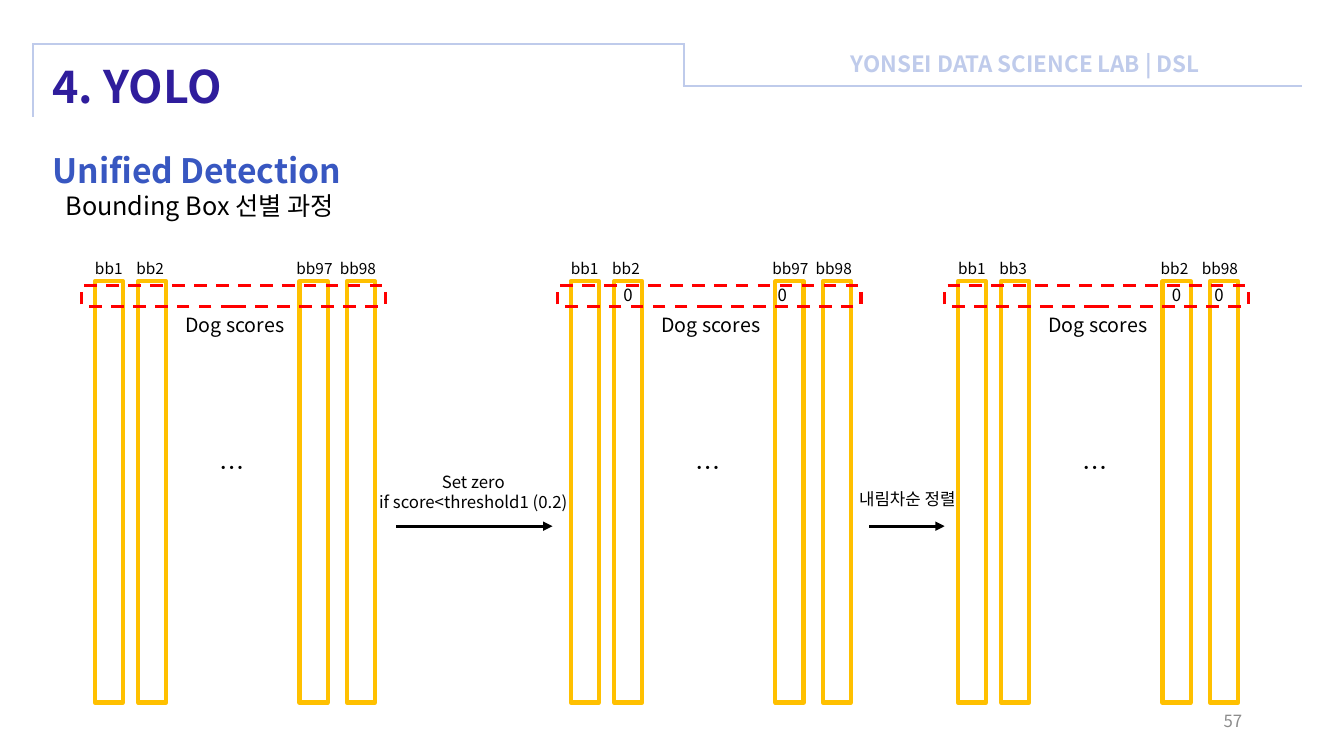
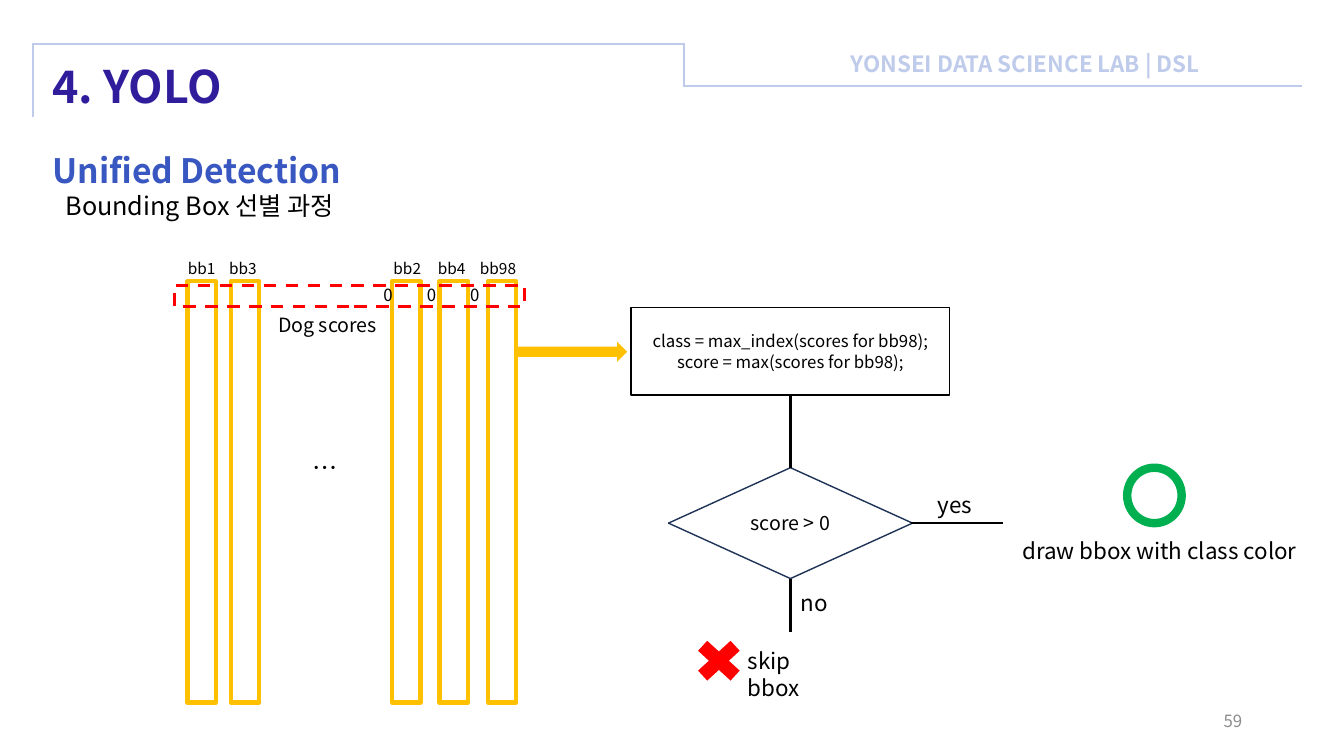
"""Build two slides on how bounding boxes are selected in unified detection."""
import pptx
import pptx.dml.color
import pptx.enum.dml
import pptx.enum.shapes
import pptx.enum.text
import pptx.oxml.ns
import pptx.util
from lxml import etree

PX = 9144
FONT = "Noto Sans CJK KR"
BLACK, PALE, NAVY, BLUE, GREY = "000000", "BFCBEB", "2F1D9C", "3857C1", "8C8C8C"
GOLD, RED, GREEN, OUTLINE = "FFC000", "FF0000", "00B050", "1E3256"

SHAPE = pptx.enum.shapes.MSO_SHAPE
ALIGN = pptx.enum.text.PP_ALIGN
ANCHOR = pptx.enum.text.MSO_ANCHOR

TITLE = "4. YOLO"
LAB = "YONSEI DATA SCIENCE LAB | DSL"
HEADINGS = ["Unified Detection", "Bounding Box 선별 과정"]
HEADER_LINES = [(33, 116, 33, 44), (32, 44, 678, 44), (678, 85, 678, 43), (677, 85, 1291, 85)]

BAR_OFFSETS = [0, 43, 203, 250, 298]
BAR_TOP, BAR_WIDTH, BAR_HEIGHT = 279, 28, 418

SORTING_GROUPS = [
    {"left": 94, "frame": 301, "zeros": [],
     "labels": [("bb1", 14), ("bb2", 55), ("bb97", 218), ("bb98", 261)]},
    {"left": 566, "frame": 301, "zeros": [57, 210],
     "labels": [("bb1", 14), ("bb2", 55), ("bb97", 218), ("bb98", 261)]},
    {"left": 950, "frame": 301, "zeros": [217, 259],
     "labels": [("bb1", 14), ("bb3", 55), ("bb2", 215), ("bb98", 260)]},
]
SORTING_ARROWS = [(393, 522, 548, 522), (862, 522, 937, 522)]
SORTING_NOTES = [
    (["Set zero", "if score<threshold1 (0.2)"], (351, 463, 237, 50)),
    (["내림차순 정렬"], (820, 480, 160, 30)),
]

DECISION_GROUP = {
    "left": 186, "frame": 347, "zeros": [199, 242, 285],
    "labels": [("bb1", 14), ("bb3", 55), ("bb2", 218), ("bb4", 262), ("bb98", 308)],
}
CODE_LINES = ["class = max_index(scores for bb98);", "score = max(scores for bb98);"]
FLOW_LINES = [(784, 391, 784, 464), (784, 574, 784, 627), (904, 519, 995, 519)]
FLOW_NOTES = [
    ("no", (784, 580, 61, 37)),
    ("yes", (920, 482, 61, 37)),
    ("skip bbox", (732, 637, 110, 63)),
    ("draw bbox with class color", (1004, 528, 319, 37)),
]


def px(length):
    return pptx.util.Emu(length * PX)


def color(code):
    return pptx.dml.color.RGBColor.from_string(code)


def format_paragraph(para, size, code, bold=False, align=ALIGN.LEFT):
    para.alignment = align
    para.space_before = pptx.util.Pt(0)
    for span in para.runs:
        span.font.size = pptx.util.Pt(size)
        span.font.bold = bold
        span.font.name = FONT
        span.font.color.rgb = color(code)
        east_asian = etree.SubElement(span.font._element, pptx.oxml.ns.qn("a:ea"))
        east_asian.set("typeface", FONT)


def write(box, lines, size, code=BLACK, bold=False, align=ALIGN.LEFT, anchor=ANCHOR.TOP):
    frame = box.text_frame
    frame.word_wrap = True
    frame.auto_size = pptx.enum.text.MSO_AUTO_SIZE.NONE
    frame.vertical_anchor = anchor
    frame.text = "\n".join(lines)
    for para in frame.paragraphs:
        format_paragraph(para, size, code, bold, align)


def add_text(page, lines, place, size, **style):
    box = page.shapes.add_textbox(*map(px, place))
    write(box, lines, size, **style)


def add_shape(page, kind, place, fill=None, line=None, weight=1):
    shape = page.shapes.add_shape(kind, *map(px, place))
    shape.shadow.inherit = False
    if fill:
        shape.fill.solid()
        shape.fill.fore_color.rgb = color(fill)
    else:
        shape.fill.background()
    if line:
        shape.line.color.rgb = color(line)
        shape.line.width = pptx.util.Pt(weight)
    else:
        shape.line.fill.background()
    return shape


def add_line(page, ends, code=BLACK, weight=1.5, arrow=False):
    straight = pptx.enum.shapes.MSO_CONNECTOR.STRAIGHT
    line = page.shapes.add_connector(straight, *map(px, ends))
    line.line.color.rgb = color(code)
    line.line.width = pptx.util.Pt(weight)
    properties = line._element.spPr
    if arrow:
        outline = properties.find(pptx.oxml.ns.qn("a:ln"))
        etree.SubElement(outline, pptx.oxml.ns.qn("a:tailEnd")).set("type", "triangle")
    etree.SubElement(properties, pptx.oxml.ns.qn("a:effectLst"))


def place_at(box, left, top, width, height):
    box.left, box.top, box.width, box.height = map(px, (left, top, width, height))


def add_page(deck, number):
    page = deck.slides.add_slide(deck.slide_layouts[1])
    title, body = page.placeholders
    place_at(title, 42, 53, 481, 64)
    write(title, [TITLE], 32, NAVY, bold=True)

    place_at(body, 42, 144, 1012, 100)
    body.text_frame.text = "\n".join(HEADINGS)
    body.text_frame.auto_size = pptx.enum.text.MSO_AUTO_SIZE.NONE
    styles = [(24, BLUE, True, 0), (18, BLACK, False, 13)]
    for para, (size, code, bold, indent) in zip(body.text_frame.paragraphs, styles):
        properties = para._p.get_or_add_pPr()
        properties.set("marL", str(px(indent)))
        properties.set("indent", "0")
        etree.SubElement(properties, pptx.oxml.ns.qn("a:buNone"))
        format_paragraph(para, size, code, bold)

    for ends in HEADER_LINES:
        add_line(page, ends, PALE)
    add_text(page, [LAB], (834, 45, 376, 37), 16, code=PALE, bold=True)
    add_text(page, [str(number)], (942, 695, 300, 40), 12, code=GREY,
             align=ALIGN.RIGHT, anchor=ANCHOR.MIDDLE)
    return page


def add_group(page, group):
    left = group["left"]
    for offset, (label, center) in zip(BAR_OFFSETS, group["labels"]):
        bar = (left + offset, BAR_TOP, BAR_WIDTH, BAR_HEIGHT)
        add_shape(page, SHAPE.RECTANGLE, bar, line=GOLD, weight=3)
        add_text(page, [label], (left + center - 40, 252, 80, 29), 11, align=ALIGN.CENTER)
    frame = add_shape(page, SHAPE.RECTANGLE, (left - 13, 283, group["frame"], 21),
                      line=RED, weight=2.25)
    frame.line.dash_style = pptx.enum.dml.MSO_LINE.DASH
    for center in group["zeros"]:
        add_text(page, ["0"], (left + center - 20, 278, 40, 30), 12, align=ALIGN.CENTER)
    add_text(page, ["Dog scores"], (left + 80, 306, 124, 34), 14)
    add_text(page, ["…"], (left + 114, 444, 47, 40), 18)


def add_sorting_page(deck):
    page = add_page(deck, 57)
    for group in SORTING_GROUPS:
        add_group(page, group)
    for ends in SORTING_ARROWS:
        add_line(page, ends, weight=2.25, arrow=True)
    for lines, place in SORTING_NOTES:
        add_text(page, lines, place, 12, align=ALIGN.CENTER)


def add_decision_page(deck):
    page = add_page(deck, 59)
    add_group(page, DECISION_GROUP)
    add_shape(page, SHAPE.RIGHT_ARROW, (512, 339, 110, 20), fill=GOLD)
    code_box = add_shape(page, SHAPE.RECTANGLE, (626, 305, 316, 87), line=BLACK)
    write(code_box, CODE_LINES, 12, align=ALIGN.CENTER, anchor=ANCHOR.MIDDLE)
    decision = add_shape(page, SHAPE.DIAMOND, (663, 464, 242, 110), line=OUTLINE)
    write(decision, ["score > 0"], 14, align=ALIGN.CENTER, anchor=ANCHOR.MIDDLE)
    for ends in FLOW_LINES:
        add_line(page, ends)
    for note, place in FLOW_NOTES:
        add_text(page, [note], place, 16)
    add_shape(page, SHAPE.MATH_MULTIPLY, (682, 627, 62, 57), fill=RED)
    add_shape(page, SHAPE.FLOWCHART_CONNECTOR, (1118, 464, 54, 55), line=GREEN, weight=6)


def main():
    deck = pptx.Presentation()
    deck.slide_width, deck.slide_height = px(1333), px(750)
    add_sorting_page(deck)
    add_decision_page(deck)
    deck.save("out.pptx")


if __name__ == "__main__":
    main()
